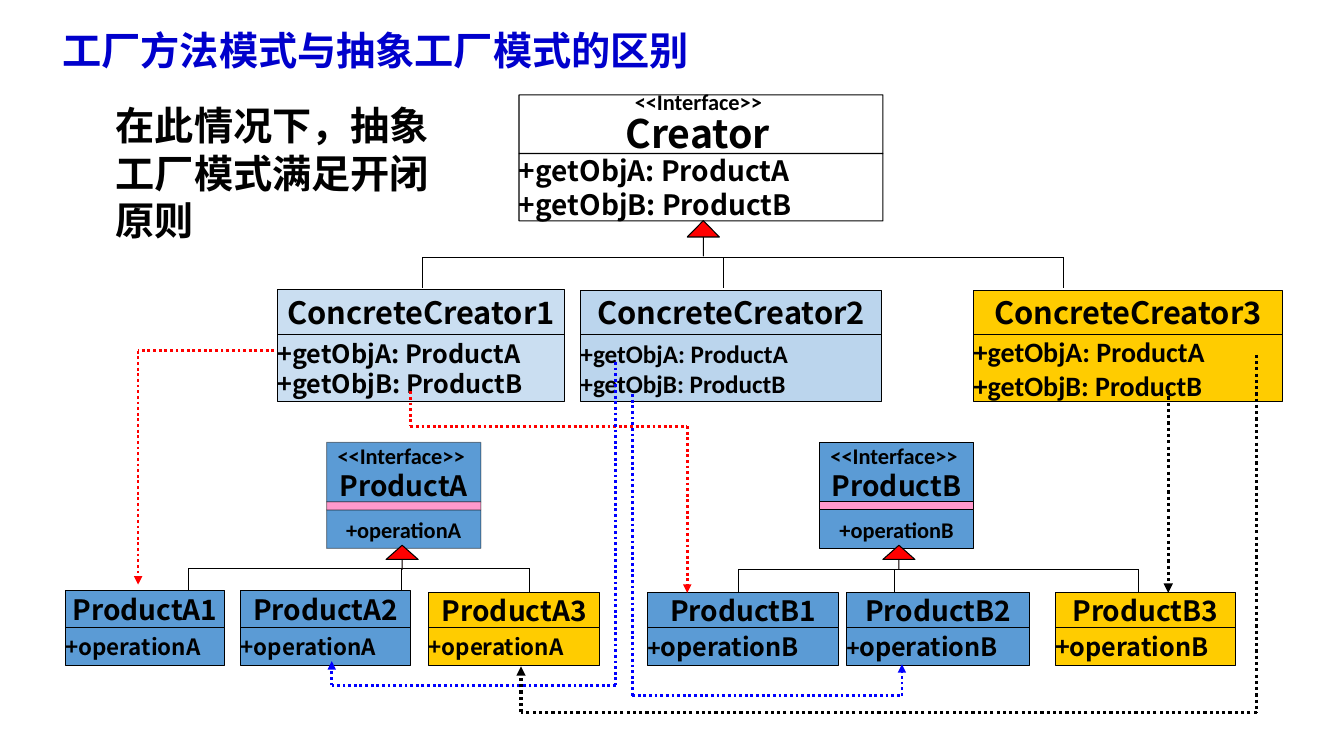
from dataclasses import dataclass
from itertools import pairwise

from lxml.etree import SubElement
from pptx import Presentation
from pptx.dml.color import RGBColor
from pptx.enum.dml import MSO_LINE
from pptx.enum.shapes import MSO_CONNECTOR, MSO_SHAPE
from pptx.enum.text import MSO_ANCHOR, MSO_AUTO_SIZE, PP_ALIGN
from pptx.oxml.ns import qn
from pptx.util import Cm, Pt


@dataclass(frozen=True)
class Theme:
    black: str = "000000"
    white: str = "FFFFFF"
    blue: str = "5B9BD5"
    gold: str = "FFCC00"
    pink: str = "FF99CC"
    red: str = "FF0000"
    link_blue: str = "0000FF"
    title: str = "0000CC"
    sans: str = "Noto Sans CJK SC"
    calibri: str = "Calibri"
    heading: int = 28
    class_name: int = 22
    large: int = 20
    medium: int = 18
    small: int = 16
    outline: float = 0.75


THEME = Theme()


def set_alpha(fill_format, percent):
    color = fill_format._xPr.find(qn("a:solidFill"))[0]
    SubElement(color, qn("a:alpha"), val=str(percent * 1000))


def add_run(paragraph, text, size, font=THEME.sans, color=THEME.black):
    run = paragraph.add_run()
    run.text = text
    run.font.size = Pt(size)
    run.font.bold = True
    run.font.name = font
    run.font.color.rgb = RGBColor.from_string(color)
    SubElement(run._r.get_or_add_rPr(), qn("a:ea"), typeface=font)


def add_block(slide, kind, left, top, width, height, fill,
              fill_alpha=100, line_alpha=100):
    shape = slide.shapes.add_shape(kind, Cm(left), Cm(top), Cm(width), Cm(height))
    shape.shadow.inherit = False
    shape.fill.solid()
    shape.fill.fore_color.rgb = RGBColor.from_string(fill)
    shape.line.width = Pt(THEME.outline)
    shape.line.color.rgb = RGBColor.from_string(THEME.black)
    if fill_alpha < 100:
        set_alpha(shape.fill, fill_alpha)
    if line_alpha < 100:
        set_alpha(shape.line.fill, line_alpha)
    return shape


def write_lines(shape, lines, align, spacing=None):
    """Each line is a list of runs: (text, size, font)."""
    frame = shape.text_frame
    frame.margin_left = frame.margin_right = 0
    frame.margin_top = frame.margin_bottom = 0
    frame.vertical_anchor = MSO_ANCHOR.MIDDLE
    frame.word_wrap = False
    for index, runs in enumerate(lines):
        paragraph = frame.add_paragraph() if index else frame.paragraphs[0]
        paragraph.alignment = align
        paragraph.line_spacing = spacing
        for text, size, font in runs:
            add_run(paragraph, text, size, font)


def add_class(slide, left, top, width, body_top, body_height, fill, head, body,
              fill_alpha=100, line_alpha=100, spacing=None):
    for y, height, lines, align, gap in (
            (top, body_top - top, head, PP_ALIGN.CENTER, spacing),
            (body_top, body_height, body, PP_ALIGN.LEFT, None)):
        block = add_block(slide, MSO_SHAPE.RECTANGLE, left, y, width, height,
                          fill, fill_alpha, line_alpha)
        write_lines(block, lines, align, gap)


def add_product_interface(slide, left, letter, line_alpha):
    top, width = 11.15, 3.89
    head = add_block(slide, MSO_SHAPE.RECTANGLE, left, top, width, 1.5,
                     THEME.blue, line_alpha=line_alpha)
    write_lines(head, [[("<<Interface>> ", THEME.small, THEME.calibri)],
                       [(f"Product{letter}", THEME.large, THEME.sans)]], PP_ALIGN.CENTER)
    body = add_block(slide, MSO_SHAPE.RECTANGLE, left, top + 1.7, width, 0.97,
                     THEME.blue, line_alpha=line_alpha)
    write_lines(body, [[(f"+operation{letter}", THEME.small, THEME.calibri)]],
                PP_ALIGN.CENTER)
    add_block(slide, MSO_SHAPE.RECTANGLE, left, top + 1.5, width, 0.2,
              THEME.pink, line_alpha=line_alpha)


def add_line(slide, start, end, color=THEME.black, width=THEME.outline,
             dotted=False, arrow=False):
    line = slide.shapes.add_connector(
        MSO_CONNECTOR.STRAIGHT, *(Cm(value) for value in (*start, *end)))
    line.line.color.rgb = RGBColor.from_string(color)
    line.line.width = Pt(width)
    if dotted:
        line.line.dash_style = MSO_LINE.ROUND_DOT
    if arrow:
        SubElement(line.line._get_or_add_ln(), qn("a:tailEnd"), type="triangle")
    SubElement(line._element.spPr, qn("a:effectLst"))


def add_tree(slide, y, stems, bottom):
    add_line(slide, (stems[0], y), (stems[-1], y))
    for x in stems:
        add_line(slide, (x, y), (x, bottom))


def add_inheritance_arrow(slide, left, top, height, head_ratio):
    arrow = add_block(slide, MSO_SHAPE.UP_ARROW, left, top, 0.81, height, THEME.red)
    arrow.adjustments[0] = 0
    arrow.adjustments[1] = head_ratio


def add_dotted_route(slide, points, color, width=2):
    segments = list(pairwise(points))
    for segment in segments:
        add_line(slide, *segment, color, width, dotted=True,
                 arrow=segment is segments[-1])


def add_heading(shape, box, text, color, wrap, spacing=None):
    shape.left, shape.top, shape.width, shape.height = (Cm(value) for value in box)
    frame = shape.text_frame
    frame.auto_size = MSO_AUTO_SIZE.NONE
    frame.vertical_anchor = MSO_ANCHOR.TOP
    frame.word_wrap = wrap
    paragraph = frame.paragraphs[0]
    paragraph.alignment = PP_ALIGN.LEFT
    paragraph.line_spacing = spacing
    add_run(paragraph, text, THEME.heading, color=color)


def getters(size, font):
    return [[(f"+getObj{letter}: Product{letter}", size, font)] for letter in "AB"]


def main():
    presentation = Presentation()
    presentation.slide_width, presentation.slide_height = Cm(33.87), Cm(19.05)
    slide = presentation.slides.add_slide(presentation.slide_layouts[5])

    # Title and remark
    add_heading(slide.shapes.title, (1.32, 0.43, 16.46, 1.57),
                "工厂方法模式与抽象工厂模式的区别", THEME.title, False, 1.1)
    remark = slide.shapes.add_textbox(0, 0, 0, 0)
    add_heading(remark, (2.67, 2.44, 8.71, 3.84),
                "在此情况下，抽象工厂模式满足开闭原则", THEME.black, True)

    # Inheritance trees, behind the classes
    add_tree(slide, 6.48, (10.65, 18.24, 26.79), 7.26)
    add_tree(slide, 14.33, (4.75, 10.13, 13.35), 15.14)
    add_tree(slide, 14.35, (18.62, 22.53, 28.69), 15.16)

    # Creators
    add_class(slide, 13.08, 2.39, 9.17, 3.87, 1.7, THEME.white,
              [[("<<Interface>> ", THEME.small, THEME.calibri)],
               [("Creator", THEME.heading, THEME.sans), (" ", THEME.large, THEME.sans)]],
              getters(THEME.large, THEME.sans), line_alpha=98, spacing=0.9)
    creators = (
        (6.99, 7.29, 7.24, THEME.blue, 32, THEME.medium, THEME.sans),
        (14.63, 7.32, 7.59, THEME.blue, 41, THEME.medium, THEME.calibri),
        (24.54, 7.32, 7.77, THEME.gold, 100, THEME.large, THEME.calibri),
    )
    for number, (left, top, width, fill, alpha, size, font) in enumerate(creators, 1):
        add_class(slide, left, top, width, 8.43, 1.7, fill,
                  [[(f"ConcreteCreator{number}", THEME.class_name, THEME.sans)]],
                  getters(size, font), fill_alpha=alpha)

    # Products
    add_product_interface(slide, 8.23, "A", 40)
    add_product_interface(slide, 20.65, "B", 100)
    operation_a = [("+operationA", THEME.small, THEME.sans)]
    operation_b = [("+", THEME.medium, THEME.calibri),
                   ("operationB", THEME.medium, THEME.sans)]
    operation_b3 = [("+operationB", THEME.medium, THEME.sans)]
    for name, left, top, width, fill, operation in (
            ("A1", 1.65, 14.88, 4.01, THEME.blue, operation_a),
            ("A2", 6.07, 14.88, 4.27, THEME.blue, operation_a),
            ("A3", 10.8, 14.94, 4.32, THEME.gold, operation_a),
            ("B1", 16.33, 14.94, 4.8, THEME.blue, operation_b),
            ("B2", 21.34, 14.94, 4.6, THEME.blue, operation_b),
            ("B3", 26.59, 14.94, 4.55, THEME.gold, operation_b3)):
        add_class(slide, left, top, width, 15.81, 0.96, fill,
                  [[(f"Product{name}", THEME.large, THEME.sans)]], [operation])

    # Inheritance arrowheads
    add_inheritance_arrow(slide, 17.32, 5.56, 0.89, 0.51)
    for left in (9.73, 22.25):
        add_inheritance_arrow(slide, left, 13.74, 0.61, 0.59)

    # Dotted routes from creators to the products they make
    add_dotted_route(slide, [(6.91, 8.84), (3.48, 8.84), (3.48, 14.73)], THEME.red)
    add_dotted_route(slide, [(10.34, 9.86), (10.34, 10.74), (17.32, 10.74),
                             (17.32, 14.94)], THEME.red)
    add_dotted_route(slide, [(15.52, 9.12), (15.52, 17.27), (8.36, 17.27),
                             (8.36, 16.66)], THEME.link_blue)
    add_dotted_route(slide, [(15.93, 9.93), (15.93, 17.53), (22.73, 17.53),
                             (22.73, 16.74)], THEME.link_blue)
    add_dotted_route(slide, [(29.44, 9.83), (29.44, 14.94)], THEME.black, 2.25)
    add_dotted_route(slide, [(31.67, 8.94), (31.67, 17.95), (13.13, 17.95),
                             (13.13, 16.79)], THEME.black, 2.25)

    presentation.save("out.pptx")


if __name__ == "__main__":
    main()
